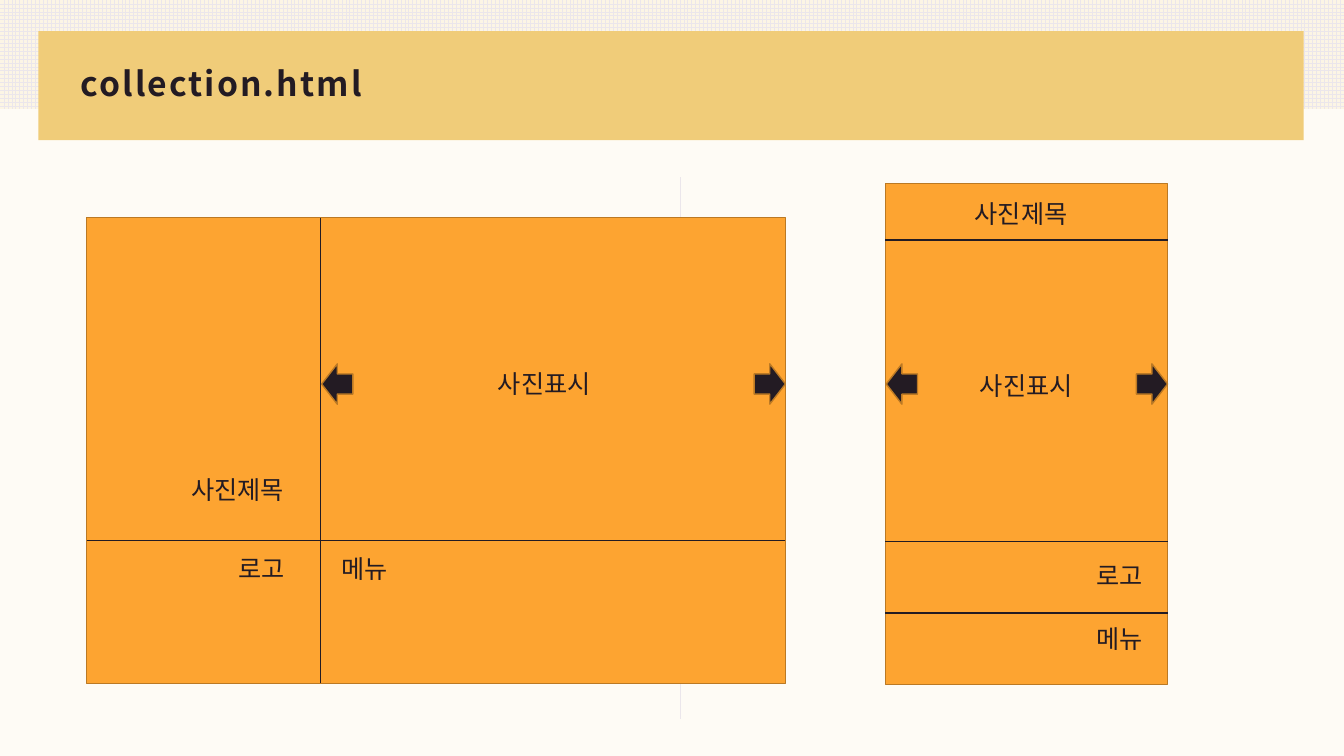
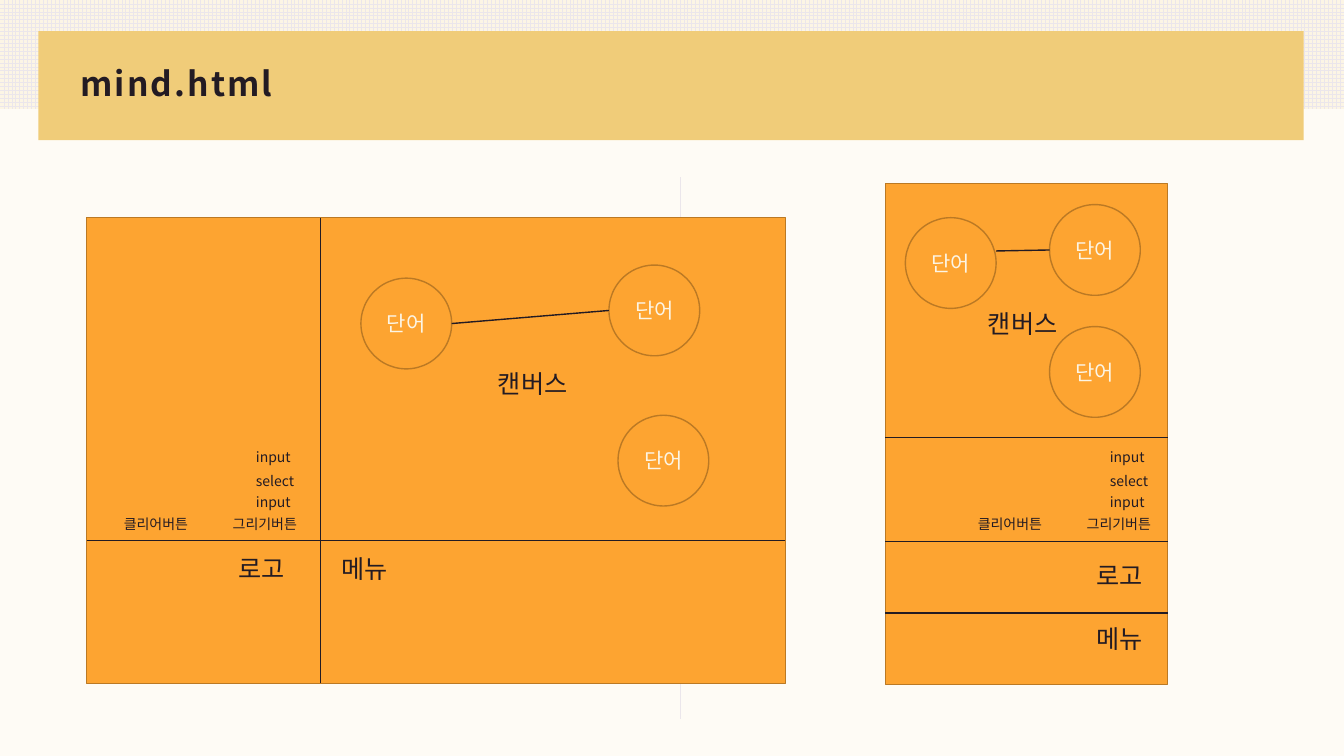
import dataclasses
import pptx
import pptx.dml.color
import pptx.enum.dml
import pptx.enum.shapes
import pptx.enum.text
import pptx.oxml
import pptx.oxml.ns
import pptx.util

Inches = pptx.util.Inches
Pt = pptx.util.Pt
Kind = pptx.enum.shapes.MSO_SHAPE


@dataclasses.dataclass(frozen=True)
class Theme:
    page: str = "FEFBF5"
    cream: str = "FCF5E5"
    grid: str = "EBE6EB"
    band: str = "F0CC79"
    panel: str = "FDA431"
    edge: str = "BB7924"
    ink: str = "231B23"
    head: str = "Noto Sans CJK KR"
    body: str = "Noto Sans CJK JP"
    title: float = 24
    large: float = 18
    word: float = 15
    small: float = 10
    thin: float = 0.5
    line: float = 1


THEME = Theme()
WIDTH, HEIGHT = 13.33, 7.5
WIDE = (0.86, 2.16, 6.93, 4.62)
PHONE = (8.78, 1.82, 2.8, 4.97)
ROUND = 0.9


def color(code):
    return pptx.dml.color.RGBColor.from_string(code)


def place(*sizes):
    return [Inches(size) for size in sizes]


def style(para, size, tint=THEME.ink, face=THEME.body):
    font = para.font
    font.size = Pt(size)
    font.color.rgb = color(tint)
    font.name = face
    props = para._p.get_or_add_pPr().find(pptx.oxml.ns.qn("a:defRPr"))
    asian = pptx.oxml.parse_xml(f'<a:ea {pptx.oxml.ns.nsdecls("a")} typeface="{face}"/>')
    props.append(asian)
    return props


def shape(slide, kind, box, fill, edge=None):
    item = slide.shapes.add_shape(kind, *place(*box))
    item.shadow.inherit = False
    item.fill.solid()
    item.fill.fore_color.rgb = color(fill)
    if edge:
        item.line.color.rgb = color(edge)
        item.line.width = Pt(THEME.line)
    else:
        item.line.fill.background()
    return item


def rule(slide, start, end, tint=THEME.ink, width=THEME.line):
    item = slide.shapes.add_connector(
        pptx.enum.shapes.MSO_CONNECTOR.STRAIGHT, *place(*start, *end))
    item.line.color.rgb = color(tint)
    item.line.width = Pt(width)
    item._element.spPr.append(
        pptx.oxml.parse_xml(f'<a:effectLst {pptx.oxml.ns.nsdecls("a")}/>'))


def label(slide, text, left, top, width=None, size=THEME.large):
    width = width or 0.2 + 0.25 * len(text)
    height = 0.13 + 0.015 * size
    item = slide.shapes.add_textbox(*place(left, top, width, height))
    frame = item.text_frame
    frame.word_wrap = False
    frame.auto_size = pptx.enum.text.MSO_AUTO_SIZE.SHAPE_TO_FIT_TEXT
    frame.text = text
    style(frame.paragraphs[0], size)


def header(slide, text):
    slide.background.fill.solid()
    slide.background.fill.fore_color.rgb = color(THEME.page)
    strip = shape(slide, Kind.RECTANGLE, (0, 0, WIDTH, 1.08), THEME.cream)
    strip.fill.patterned()
    strip.fill.pattern = pptx.enum.dml.MSO_PATTERN.LARGE_GRID
    strip.fill.fore_color.rgb = color(THEME.grid)
    strip.fill.back_color.rgb = color(THEME.cream)
    shape(slide, Kind.RECTANGLE, (0.38, 0.31, 12.55, 1.08), THEME.band)
    rule(slide, (6.75, 1.76), (6.75, 7.13), THEME.grid, THEME.thin)
    item = slide.shapes.add_textbox(*place(0.7, 0.53, 11.93, 0.64))
    frame = item.text_frame
    frame.word_wrap = True
    frame.vertical_anchor = pptx.enum.text.MSO_ANCHOR.MIDDLE
    frame.text = text
    para = frame.paragraphs[0]
    para.line_spacing = 0.9
    para.font.bold = True
    style(para, THEME.title, face=THEME.head).set("spc", "150")


def wide(slide, box):
    left, top, width, height = box
    shape(slide, Kind.RECTANGLE, box, THEME.panel, THEME.edge)
    rule(slide, (left, top + 3.2), (left + width, top + 3.2))
    rule(slide, (left + 2.32, top), (left + 2.32, top + height))
    label(slide, "로고", left + 1.41, top + 3.28)
    label(slide, "메뉴", left + 2.43, top + 3.28)


def phone(slide, box, split):
    left, top, width, height = box
    shape(slide, Kind.RECTANGLE, box, THEME.panel, THEME.edge)
    for drop in (split, 3.55, 4.26):
        rule(slide, (left, top + drop), (left + width, top + drop))
    label(slide, "로고", left + 2, top + 3.69)
    label(slide, "메뉴", left + 2, top + 4.31)


def arrows(slide, left, right, top):
    for side, turn in ((left + 0.01, 180), (right - 0.31, 0)):
        item = shape(slide, Kind.RIGHT_ARROW, (side, top, 0.31, 0.4),
                     THEME.ink, THEME.edge)
        item.rotation = turn


def controls(slide, left, top):
    for text, over, down, width in (
        ("input", 1.31, 0, 0.55),
        ("select", 1.31, 0.24, 0.59),
        ("input", 1.31, 0.45, 0.55),
        ("클리어버튼", 0, 0.66, 0.9),
        ("그리기버튼", 1.08, 0.66, 0.9),
    ):
        label(slide, text, left + over, top + down, width, THEME.small)


def words(slide, box, spots, link):
    left, top = box[:2]
    for over, down in spots:
        item = shape(slide, Kind.OVAL, (left + over, top + down, ROUND, ROUND),
                     THEME.panel, THEME.edge)
        frame = item.text_frame
        frame.vertical_anchor = pptx.enum.text.MSO_ANCHOR.MIDDLE
        frame.text = "단어"
        para = frame.paragraphs[0]
        para.alignment = pptx.enum.text.PP_ALIGN.CENTER
        style(para, THEME.word, THEME.cream)
    rule(slide, *[(left + over, top + down) for over, down in link])


def photos(slide):
    header(slide, "collection.html")
    left, top, width = WIDE[:3]
    wide(slide, WIDE)
    label(slide, "사진표시", left + 3.98, top + 1.45)
    label(slide, "사진제목", left + 0.94, top + 2.5)
    arrows(slide, left + 2.32, left + width, top + 1.45)
    left, top, width = PHONE[:3]
    phone(slide, PHONE, 0.56)
    label(slide, "사진표시", left + 0.84, top + 1.8)
    label(slide, "사진제목", left + 0.79, top + 0.1)
    arrows(slide, left, left + width, top + 1.79)


def mind(slide):
    header(slide, "mind.html")
    left, top = WIDE[:2]
    wide(slide, WIDE)
    label(slide, "캔버스", left + 3.98, top + 1.45)
    words(slide, WIDE, ((2.72, 0.6), (5.18, 0.47), (5.27, 1.96)),
          ((3.62, 1.05), (5.18, 0.92)))
    controls(slide, left + 0.27, top + 2.24)
    left, top = PHONE[:2]
    phone(slide, PHONE, 2.52)
    label(slide, "캔버스", left + 0.92, top + 1.19)
    words(slide, PHONE, ((0.2, 0.34), (1.63, 0.21), (1.63, 1.42)),
          ((1.1, 0.67), (1.63, 0.66)))
    controls(slide, left + 0.82, top + 2.58)


def main():
    deck = pptx.Presentation()
    deck.slide_width, deck.slide_height = place(WIDTH, HEIGHT)
    for build in (photos, mind):
        build(deck.slides.add_slide(deck.slide_layouts[6]))
    deck.save("out.pptx")


if __name__ == "__main__":
    main()
